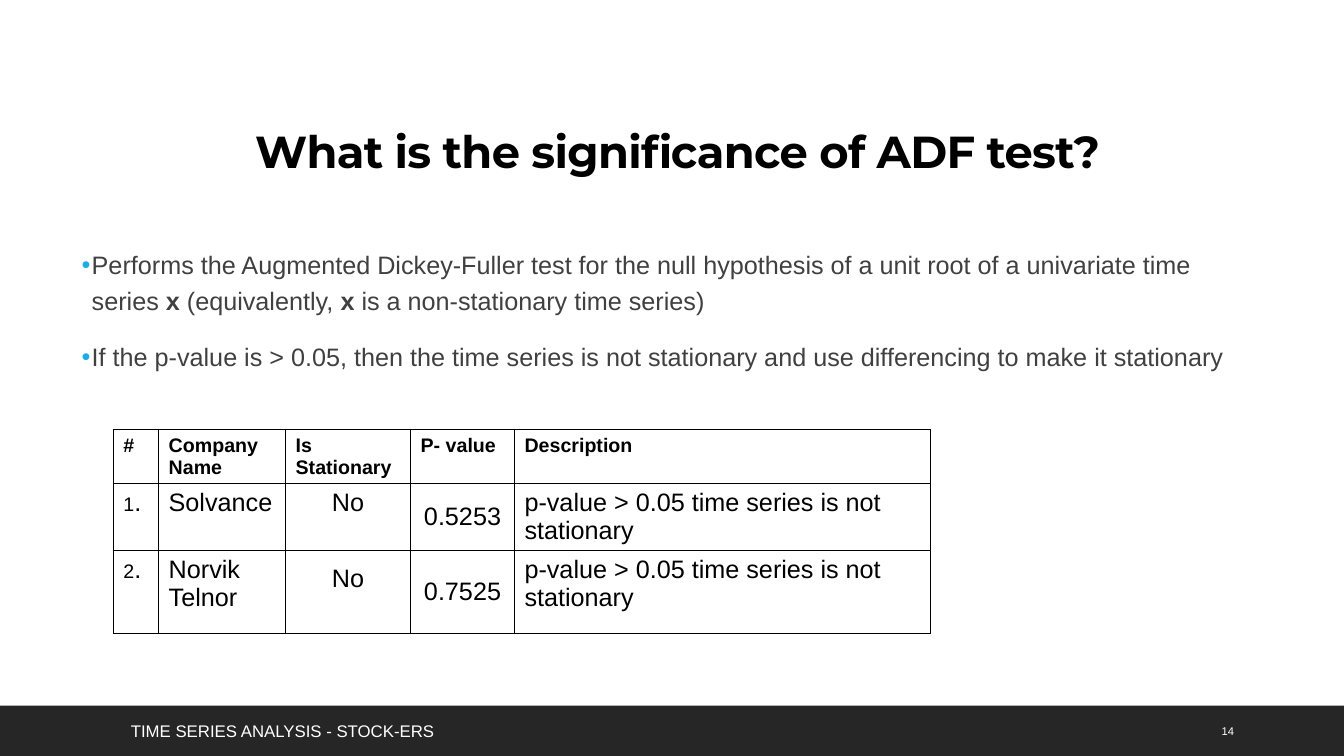
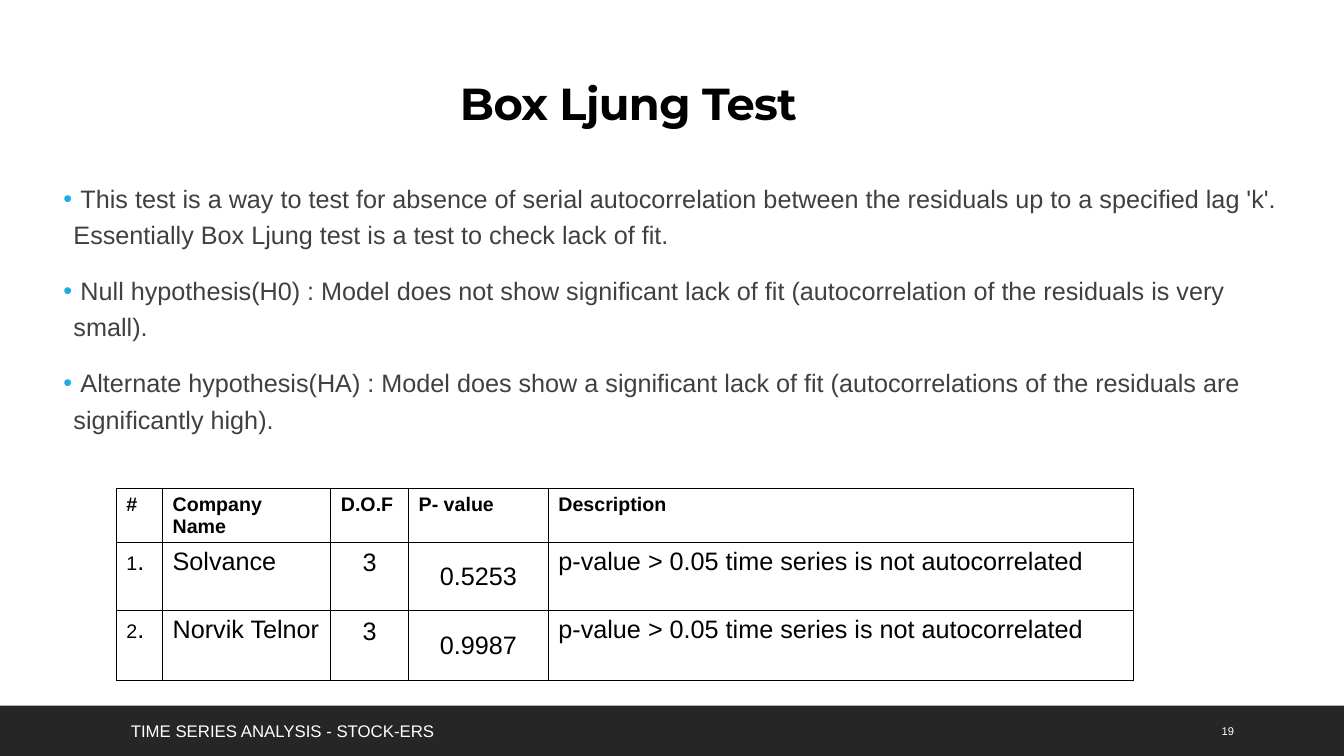
"""Build two slides on statistical tests for time series."""
from lxml import etree
from pptx import Presentation
from pptx.dml.color import RGBColor
from pptx.enum.shapes import MSO_SHAPE
from pptx.enum.text import MSO_ANCHOR, MSO_AUTO_SIZE, PP_ALIGN
from pptx.oxml.ns import qn
from pptx.util import Pt

RECTANGLE = MSO_SHAPE.RECTANGLE
TOP, MIDDLE, BOTTOM = MSO_ANCHOR.TOP, MSO_ANCHOR.MIDDLE, MSO_ANCHOR.BOTTOM
LEFT, CENTER = PP_ALIGN.LEFT, PP_ALIGN.CENTER
NO_AUTOFIT = MSO_AUTO_SIZE.NONE
NBSP = chr(160)

THEME = {
    "band": "262626",
    "bullet": "1CADE4",
    "border": "000000",
    "title": {"name": "Montserrat", "size": Pt(32), "bold": True, "color": "000000"},
    "body": {"name": "Arial", "size": Pt(18), "bold": False, "color": "404040"},
    "strong": {"name": "Arial", "size": Pt(18), "bold": True, "color": "404040"},
    "header": {"name": "Arial", "size": Pt(14), "bold": True, "color": "000000"},
    "number": {"name": "Arial", "size": Pt(14), "bold": False, "color": "000000"},
    "cell": {"name": "Arial", "size": Pt(18), "bold": False, "color": "000000"},
    "footer": {"name": "Arial", "size": Pt(12), "bold": False, "color": "FFFFFF"},
    "page": {"name": "Arial", "size": Pt(8), "bold": False, "color": "FFFFFF"},
}
FOOTER = "TIME SERIES ANALYSIS - STOCK-ERS"
TITLE_FRAME = {"word_wrap": True, "auto_size": NO_AUTOFIT, "vertical_anchor": BOTTOM,
               "margin_bottom": Pt(42.4)}
BODY_FRAME = {"word_wrap": True, "auto_size": NO_AUTOFIT, "vertical_anchor": TOP,
              "margin_left": 0, "margin_right": 0}
FOOTER_FRAME = {"word_wrap": True, "vertical_anchor": MIDDLE}
CELL_FORMATS = [
    {"vertical_anchor": TOP},
    {"vertical_anchor": TOP},
    {"vertical_anchor": MIDDLE, "margin_bottom": Pt(23.6)},
    {"vertical_anchor": MIDDLE},
    {"vertical_anchor": TOP},
]
CELL_ALIGNMENTS = [LEFT, LEFT, CENTER, CENTER, LEFT]

SLIDES = [
    {
        "page": "14",
        "title": "What is the significance of ADF test?",
        "title_box": (91.5, 37.2, 784.8, 132.4),
        "body_box": (58.3, 170.3, 861.8, 296),
        "bullets": [
            [("Performs the Augmented Dickey-Fuller test for the null hypothesis of a unit "
              f"root of a univariate time series{NBSP}", "body"),
             ("x", "strong"),
             (f"{NBSP}(equivalently,{NBSP}", "body"),
             ("x", "strong"),
             (f"{NBSP}is a non-stationary time series)", "body")],
            [("If the p-value is > 0.05, then the time series is not stationary and use "
              "differencing to make it stationary", "body")],
        ],
        "table_origin": (80.9, 306.7),
        "columns": [32.4, 90.7, 89.3, 74.2, 297.4],
        "rows": [38.6, 48, 59.3],
        "cells": [
            ["#", "Company Name", "Is Stationary", "P- value", "Description"],
            ["1.", "Solvance", "No", "0.5253", "p-value > 0.05 time series is not stationary"],
            ["2.", "Norvik Telnor", "No", "0.7525",
             "p-value > 0.05 time series is not stationary"],
        ],
    },
    {
        "page": "19",
        "title": "Box Ljung Test",
        "title_box": (80.6, 15.1, 736.6, 120.5),
        "body_box": (45.3, 123, 882, 373.7),
        "bullets": [
            [(f"{NBSP}This test is a way to test for absence of serial autocorrelation between "
              "the residuals up to a specified lag 'k'. Essentially Box Ljung test is a test "
              "to check lack of fit.", "body")],
            [(f"{NBSP}Null hypothesis(H0) : Model does not show significant lack of fit "
              "(autocorrelation of the residuals is very small).", "body")],
            [(f"{NBSP}Alternate hypothesis(HA) : Model does show a significant lack of fit "
              "(autocorrelations of the residuals are significantly high).", "body")],
        ],
        "table_origin": (83.1, 348.8),
        "columns": [33, 120.2, 55.6, 99.8, 418],
        "rows": [38.6, 48.6, 50],
        "cells": [
            ["#", "Company Name", "D.O.F", "P- value", "Description"],
            ["1.", "Solvance", "3", "0.5253",
             "p-value > 0.05 time series is not autocorrelated"],
            ["2.", "Norvik Telnor", "3", "0.9987",
             "p-value > 0.05 time series is not autocorrelated"],
        ],
    },
]


def apply_format(target, values):
    for name, value in values.items():
        setattr(target, name, value)


def add_run(paragraph, text, style):
    run = paragraph.add_run()
    run.text = text
    for name, value in THEME[style].items():
        if name == "color":
            run.font.color.rgb = RGBColor.from_string(value)
        else:
            setattr(run.font, name, value)
    return run


presentation = Presentation()
presentation.slide_width, presentation.slide_height = Pt(960), Pt(540)
layout = presentation.slide_layouts[1]

for content in SLIDES:
    slide = presentation.slides.add_slide(layout)

    band = slide.shapes.add_shape(RECTANGLE, 0, Pt(504), Pt(960), Pt(36))
    band.shadow.inherit = False
    band.fill.solid()
    band.fill.fore_color.rgb = RGBColor.from_string(THEME["band"])
    band.line.fill.background()

    title, body = slide.shapes.title, slide.placeholders[1]
    for shape, box, frame_format in ((title, content["title_box"], TITLE_FRAME),
                                     (body, content["body_box"], BODY_FRAME)):
        shape.left, shape.top, shape.width, shape.height = [Pt(value) for value in box]
        apply_format(shape.text_frame, frame_format)

    paragraph = title.text_frame.paragraphs[0]
    apply_format(paragraph, {"alignment": CENTER, "line_spacing": 0.9})
    run = add_run(paragraph, content["title"], "title")
    run.font._element.set("spc", "-50")

    for position, runs in enumerate(content["bullets"]):
        frame = body.text_frame
        paragraph = frame.add_paragraph() if position else frame.paragraphs[0]
        properties = paragraph._p.get_or_add_pPr()
        properties.set("marL", str(Pt(7.2)))
        properties.set("indent", str(-Pt(7.2)))
        bullet_color = etree.SubElement(properties, qn("a:buClr"))
        etree.SubElement(bullet_color, qn("a:srgbClr"), val=THEME["bullet"])
        etree.SubElement(properties, qn("a:buFont"), typeface="Arial")
        etree.SubElement(properties, qn("a:buChar"), char="•")
        apply_format(paragraph, {"alignment": LEFT, "line_spacing": 1.2,
                                 "space_before": Pt(12 if position else 0),
                                 "space_after": Pt(2)})
        for text, style in runs:
            add_run(paragraph, text, style)

    left, top = content["table_origin"]
    columns, rows = content["columns"], content["rows"]
    table = slide.shapes.add_table(len(rows), len(columns), Pt(left), Pt(top),
                                   Pt(sum(columns)), Pt(sum(rows))).table
    table.horz_banding = False
    for column, width in zip(table.columns, columns):
        column.width = Pt(width)
    for row_index, (row, height) in enumerate(zip(table.rows, rows)):
        row.height = Pt(height)
        for column_index, cell in enumerate(row.cells):
            text = content["cells"][row_index][column_index]
            paragraph = cell.text_frame.paragraphs[0]
            if row_index == 0:
                add_run(paragraph, text, "header")
            else:
                apply_format(cell, CELL_FORMATS[column_index])
                paragraph.alignment = CELL_ALIGNMENTS[column_index]
                if column_index == 0:
                    add_run(paragraph, text[:-1], "number")
                    add_run(paragraph, text[-1], "cell")
                else:
                    add_run(paragraph, text, "cell")
            cell.fill.background()
            cell_properties = cell._tc.get_or_add_tcPr()
            for order, side in enumerate(("a:lnL", "a:lnR", "a:lnT", "a:lnB")):
                border = etree.Element(qn(side), w=str(Pt(1)))
                border_fill = etree.SubElement(border, qn("a:solidFill"))
                etree.SubElement(border_fill, qn("a:srgbClr"), val=THEME["border"])
                cell_properties.insert(order, border)

    for text, style, left, width in ((FOOTER, "footer", 86.4, 537),
                                     (content["page"], "page", 865.6, 61)):
        text_box = slide.shapes.add_textbox(Pt(left), Pt(507.6), Pt(width), Pt(28.8))
        apply_format(text_box.text_frame, FOOTER_FRAME)
        add_run(text_box.text_frame.paragraphs[0], text, style)

presentation.save("out.pptx")
